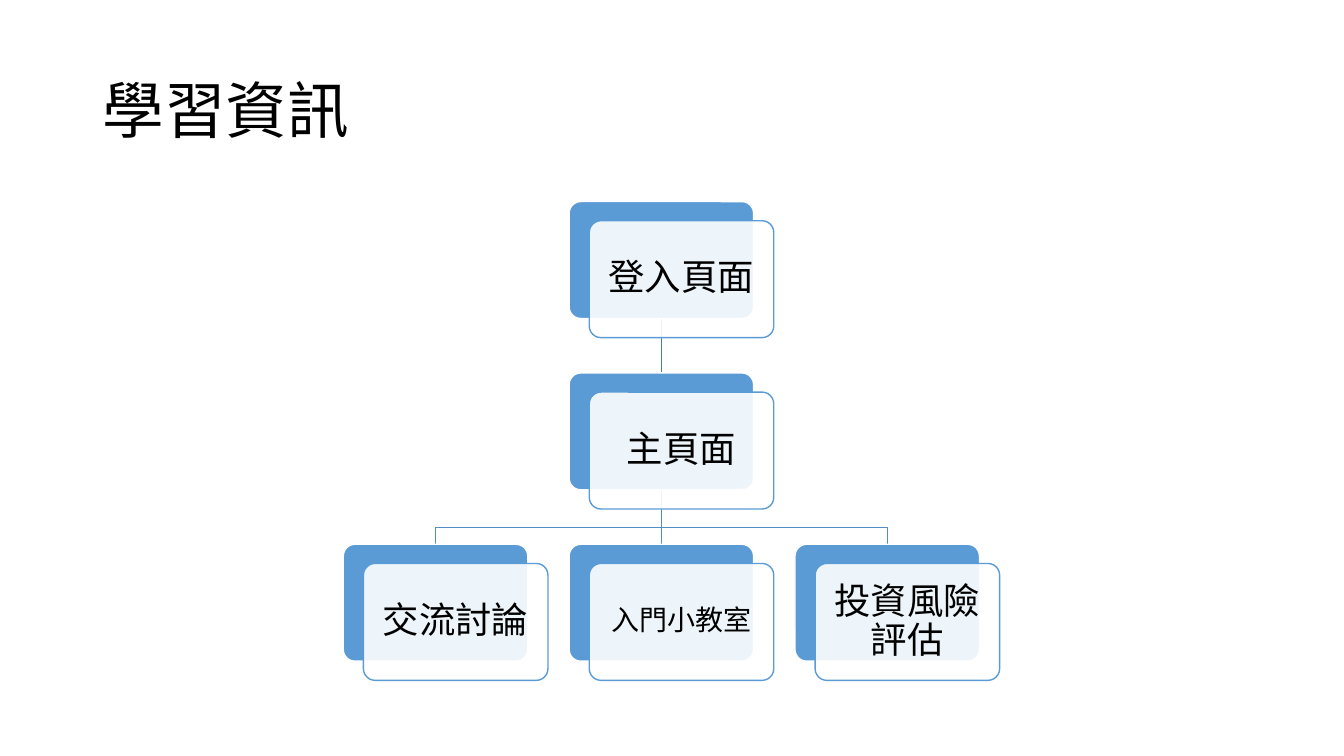
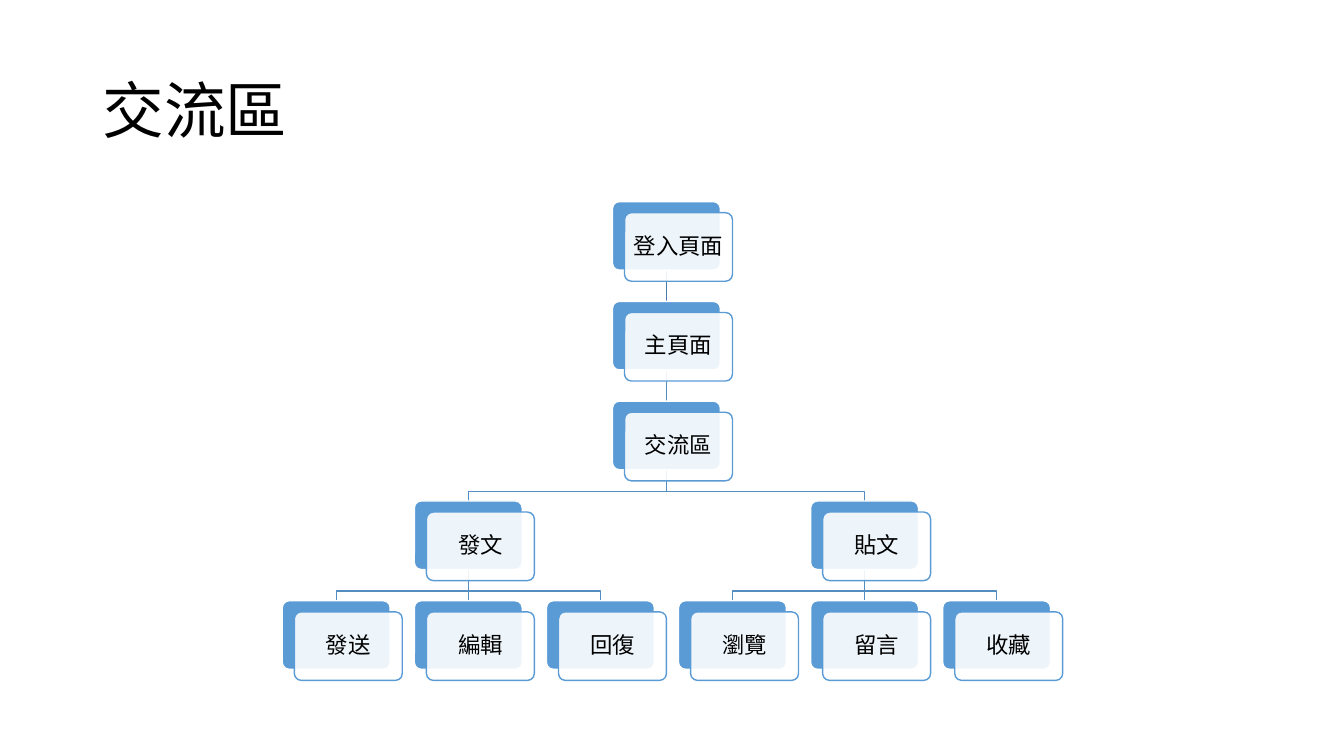
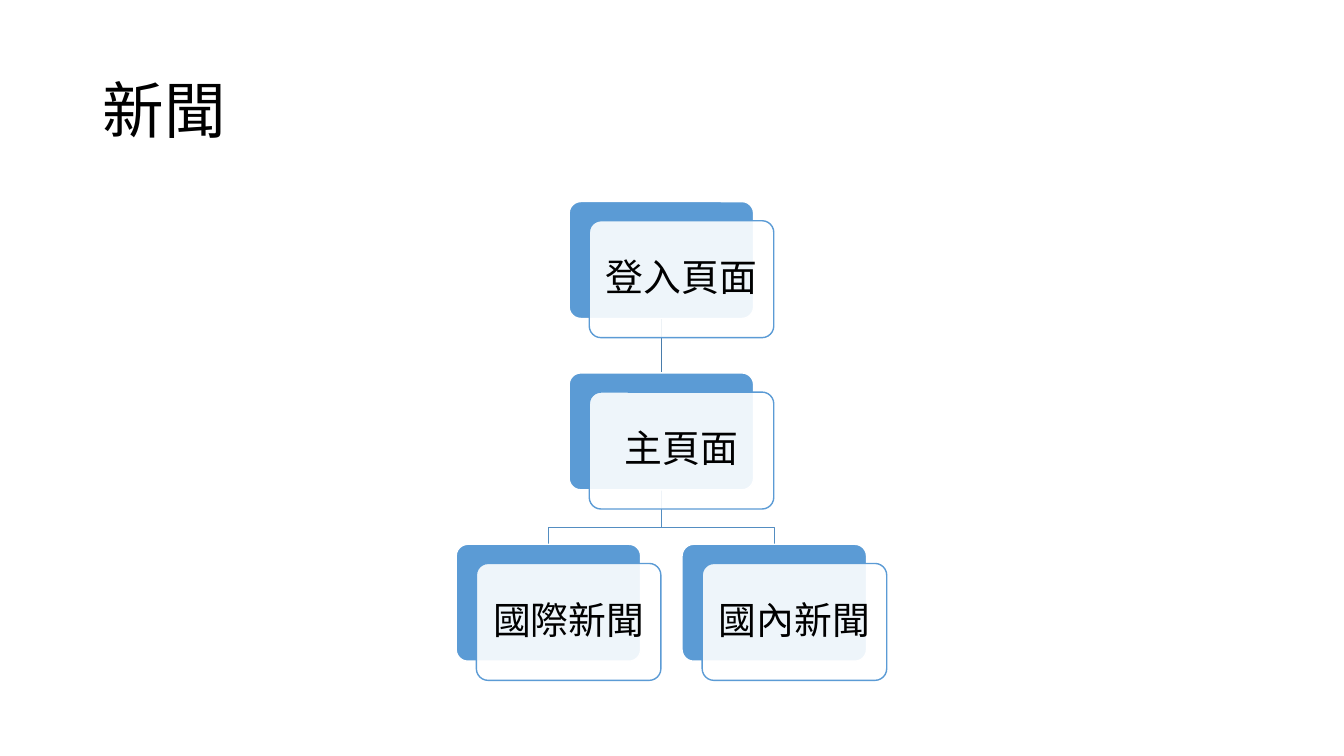
from lxml.etree import SubElement
from pptx import Presentation
from pptx.dml.color import RGBColor
from pptx.enum.shapes import MSO_CONNECTOR, MSO_SHAPE
from pptx.enum.text import MSO_ANCHOR, PP_ALIGN
from pptx.oxml.ns import qn
from pptx.util import Inches, Pt

C = {"text": "000000", "white": "FFFFFF", "blue": "5B9BD5",
     "root_link": "497CAB", "link": "538DC1"}
FONT = "Calibri"
TOP = 2          # top of the root card
ELBOW = 0.69     # where a link turns, as a share of its height

# Card geometry: root centre, column and row pitch, card size, front card offset
LARGE = dict(center=6.56, col_step=2.24, row_step=1.7, w=1.83, h=1.16, dx=0.2, dy=0.19)
SMALL = dict(center=6.61, col_step=1.31, row_step=0.99, w=1.07, h=0.68, dx=0.12, dy=0.11)

# Nodes: label, column relative to the root, row, index of the parent
slides = [
    ("學習資訊", LARGE, 26, [
        ("登入頁面", 0, 0, None),
        ("主頁面", 0, 1, 0),
        ("交流討論", -1, 2, 1),
        ("入門小教室", 0, 2, 1),
        ("投資風險評估", 1, 2, 1),
    ]),
    ("交流區", SMALL, 16, [
        ("登入頁面", 0, 0, None),
        ("主頁面", 0, 1, 0),
        ("交流區", 0, 2, 1),
        ("發文", -1.5, 3, 2),
        ("貼文", 1.5, 3, 2),
        ("發送", -2.5, 4, 3),
        ("編輯", -1.5, 4, 3),
        ("回復", -0.5, 4, 3),
        ("瀏覽", 0.5, 4, 4),
        ("留言", 1.5, 4, 4),
        ("收藏", 2.5, 4, 4),
    ]),
    ("新聞", LARGE, 27, [
        ("登入頁面", 0, 0, None),
        ("主頁面", 0, 1, 0),
        ("國際新聞", -0.5, 2, 1),
        ("國內新聞", 0.5, 2, 1),
    ]),
]
SIZES = {"入門小教室": 20}   # labels too long for the slide's usual size


def rgb(name):
    return RGBColor.from_string(C[name])


def put_text(sp, text, size, align=PP_ALIGN.LEFT, inset_x=0.1, inset_y=0.05):
    tf = sp.text_frame
    tf.word_wrap = True
    tf.vertical_anchor = MSO_ANCHOR.MIDDLE
    tf.margin_left = tf.margin_right = Inches(inset_x)
    tf.margin_top = tf.margin_bottom = Inches(inset_y)
    p = tf.paragraphs[0]
    p.alignment = align
    p.line_spacing = 0.9
    r = p.add_run()
    r.text = text
    r.font.name = FONT
    r.font.size = Pt(size)
    r.font.color.rgb = rgb("text")


prs = Presentation()
prs.slide_width, prs.slide_height = Inches(13.33), Inches(7.5)

for title, geo, size, nodes in slides:
    s = prs.slides.add_slide(prs.slide_layouts[6])
    box = s.shapes.add_textbox(Inches(0.92), Inches(0.4), Inches(11.5), Inches(1.45))
    put_text(box, title, 44)

    # Centre and top of every back card
    spots = [(geo["center"] + col * geo["col_step"], TOP + row * geo["row_step"])
             for _, col, row, _ in nodes]

    # Links, behind the cards
    for (x, y), (_, _, row, parent) in zip(spots, nodes):
        if parent is None:
            continue
        px, py = spots[parent]
        py += geo["h"]
        if x == px:
            link = s.shapes.add_connector(
                MSO_CONNECTOR.STRAIGHT, Inches(px), Inches(py), Inches(x), Inches(y))
            SubElement(link._element.spPr, qn("a:effectLst"))
        else:
            turn = py + ELBOW * (y - py)
            fb = s.shapes.build_freeform(Inches(px), Inches(py))
            fb.add_line_segments([(Inches(px), Inches(turn)), (Inches(x), Inches(turn)),
                                  (Inches(x), Inches(y))], close=False)
            link = fb.convert_to_shape()
            link.fill.background()
            link.shadow.inherit = False
        link.line.color.rgb = rgb("root_link" if row == 1 else "link")
        link.line.width = Pt(1)

    # Cards: a solid back and a translucent front that carries the label
    for (x, y), (label, _, _, _) in zip(spots, nodes):
        left = x - geo["w"] / 2
        for dx, dy, fill, line in ((0, 0, "blue", "white"),
                                   (geo["dx"], geo["dy"], "white", "blue")):
            card = s.shapes.add_shape(
                MSO_SHAPE.ROUNDED_RECTANGLE, Inches(left + dx), Inches(y + dy),
                Inches(geo["w"]), Inches(geo["h"]))
            card.adjustments[0] = 0.1
            card.shadow.inherit = False
            card.fill.solid()
            card.fill.fore_color.rgb = rgb(fill)
            card.line.color.rgb = rgb(line)
            card.line.width = Pt(1)
        # The loop leaves the front card in hand
        color = card._element.spPr.find(qn("a:solidFill")).find(qn("a:srgbClr"))
        SubElement(color, qn("a:alpha")).set("val", "90000")
        put_text(card, label, SIZES.get(label, size), align=PP_ALIGN.CENTER, inset_x=0.05)

prs.save("out.pptx")
